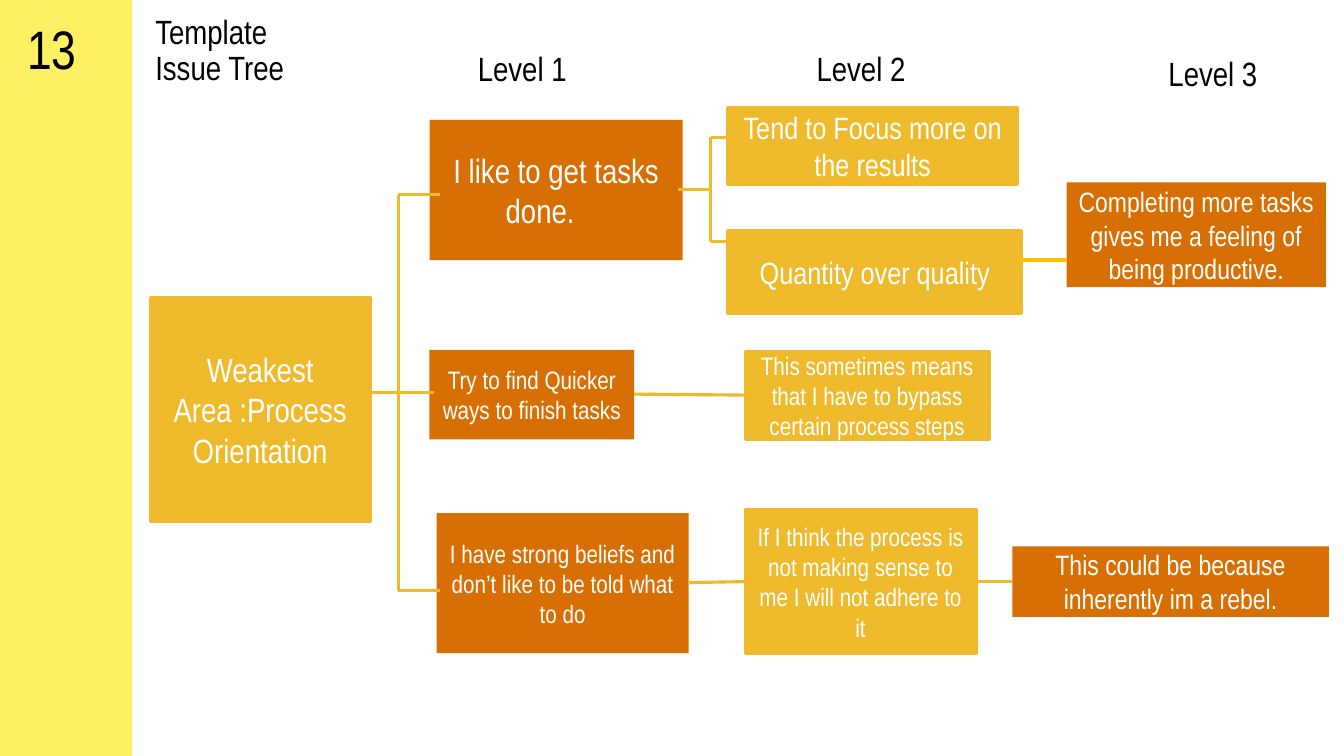
import pptx
import pptx.util
import pptx.dml.color
import pptx.enum.shapes
import pptx.enum.text
from dataclasses import dataclass
from lxml import etree

Inches = pptx.util.Inches
Pt = pptx.util.Pt
Align = pptx.enum.text.PP_ALIGN
Anchor = pptx.enum.text.MSO_ANCHOR
AutoSize = pptx.enum.text.MSO_AUTO_SIZE


@dataclass(frozen=True)
class Theme:
    font: str = "Arial Narrow"
    band: str = "FFEF62"
    gold: str = "EEBA2B"
    orange: str = "D86F05"
    amber: str = "FFC000"
    dark: str = "000000"
    light: str = "FFFFFF"
    number: float = 38.7
    heading: float = 24
    large: float = 22
    medium: float = 20
    small: float = 18
    line: float = 2.25


THEME = Theme()

NODES = [
    ("Weakest Area :Process Orientation", (1.49, 2.95, 2.18, 2.22), THEME.gold, THEME.heading),
    ("I like to get tasks done.\t", (4.26, 1.19, 2.51, 1.39), THEME.orange, THEME.heading),
    ("Try to find Quicker ways to finish tasks", (4.26, 3.47, 2.03, 0.89), THEME.orange, THEME.small),
    ("I have strong beliefs and don’t like to be told what to do", (4.33, 5.09, 2.5, 1.39),
     THEME.orange, THEME.small),
    ("Tend to Focus more on the results", (7.22, 1.07, 2.87, 0.76), THEME.gold, THEME.large),
    ("Quantity over quality", (7.22, 2.29, 2.91, 0.82), THEME.gold, THEME.large),
    ("This sometimes means that I have to bypass certain process steps", (7.39, 3.49, 2.42, 0.87),
     THEME.gold, THEME.small),
    ("If I think the process is not making sense to me I will not adhere to it",
     (7.39, 5.06, 2.29, 1.42), THEME.gold, THEME.small),
    ("Completing more tasks gives me a feeling of being productive.", (10.58, 1.81, 2.57, 1.04),
     THEME.orange, THEME.medium),
    ("This could be because inherently im a rebel.", (10.04, 5.42, 3.14, 0.7),
     THEME.orange, THEME.medium),
]

LEVELS = [("Level 1", 4.64, 0.43), ("Level 2", 8, 0.43), ("Level 3", 11.49, 0.48)]

LINKS = [
    ((3.78, 3.89), (4.3, 3.89), THEME.gold),
    ((6.29, 3.91), (7.39, 3.92), THEME.gold),
    ((6.83, 5.78), (7.39, 5.77), THEME.gold),
    ((9.67, 5.77), (10.04, 5.77), THEME.gold),
    ((10.11, 2.58), (10.58, 2.58), THEME.amber),
]


def rgb(value):
    return pptx.dml.color.RGBColor.from_string(value)


def write_text(shape, text, size=THEME.heading, color=THEME.dark, align=Align.LEFT,
               anchor=Anchor.TOP, inset=None, spacing=None, auto_size=AutoSize.NONE):
    frame = shape.text_frame
    frame.word_wrap = True
    frame.auto_size = auto_size
    frame.vertical_anchor = anchor
    if inset is not None:
        frame.margin_left = frame.margin_right = Inches(inset)
        frame.margin_top = frame.margin_bottom = Inches(inset)
    paragraph = frame.paragraphs[0]
    paragraph.text = text
    paragraph.alignment = align
    if spacing is not None:
        paragraph.line_spacing = spacing
    for run in paragraph.runs:
        run.font.name = THEME.font
        run.font.size = Pt(size)
        run.font.color.rgb = rgb(color)


def add_title(slide, text, left, top, width, height):
    title = slide.shapes.title
    title.left, title.top = Inches(left), Inches(top)
    title.width, title.height = Inches(width), Inches(height)
    write_text(title, text, anchor=Anchor.MIDDLE, spacing=0.9)


def add_label(slide, text, box, **text_format):
    label = slide.shapes.add_textbox(*map(Inches, box))
    write_text(label, text, **text_format)


def add_block(slide, box, fill, outline=None):
    block = slide.shapes.add_shape(pptx.enum.shapes.MSO_SHAPE.RECTANGLE, *map(Inches, box))
    block.shadow.inherit = False
    block.fill.solid()
    block.fill.fore_color.rgb = rgb(fill)
    if outline:
        block.line.color.rgb = rgb(outline)
        block.line.width = Pt(THEME.line)
    else:
        block.line.fill.background()
    return block


def add_node(slide, text, box, fill, size):
    outline = fill if fill == THEME.gold else None
    node = add_block(slide, box, fill, outline)
    write_text(node, text, size=size, color=THEME.light, align=Align.CENTER, anchor=Anchor.MIDDLE)


def add_link(slide, start, end, color=THEME.gold):
    link = slide.shapes.add_connector(
        pptx.enum.shapes.MSO_CONNECTOR.STRAIGHT, *map(Inches, start + end))
    link.line.color.rgb = rgb(color)
    link.line.width = Pt(THEME.line)
    properties = link.element.spPr
    etree.SubElement(properties, pptx.oxml.ns.qn("a:effectLst"))


def add_bracket(slide, stem_start, spine, branch_end, top, bottom):
    middle = (top + bottom) / 2
    add_link(slide, (spine, top), (spine, bottom))
    add_link(slide, (stem_start, middle), (spine, middle))
    for level in (top, bottom):
        add_link(slide, (spine, level), (branch_end, level))


def main():
    presentation = pptx.Presentation()
    presentation.slide_width = Inches(13.33)
    presentation.slide_height = Inches(7.5)
    slide = presentation.slides.add_slide(presentation.slide_layouts[5])

    add_title(slide, "Template\vIssue Tree", 1.44, 0.1, 9.65, 0.82)
    add_block(slide, (0, 0, 1.31, 7.5), THEME.band)
    add_label(slide, "13", (0.14, 0.02, 0.93, 0.73), size=THEME.number, inset=0.13)
    for text, left, top in LEVELS:
        add_label(slide, text, (left, top, 1.31, 0.5), auto_size=AutoSize.SHAPE_TO_FIT_TEXT)

    for node in NODES:
        add_node(slide, *node)
    add_bracket(slide, 3.54, 3.95, 4.36, 1.93, 5.86)
    add_bracket(slide, 6.72, 7.05, 7.39, 1.36, 2.4)
    for link in LINKS:
        add_link(slide, *link)

    presentation.save("out.pptx")


main()
